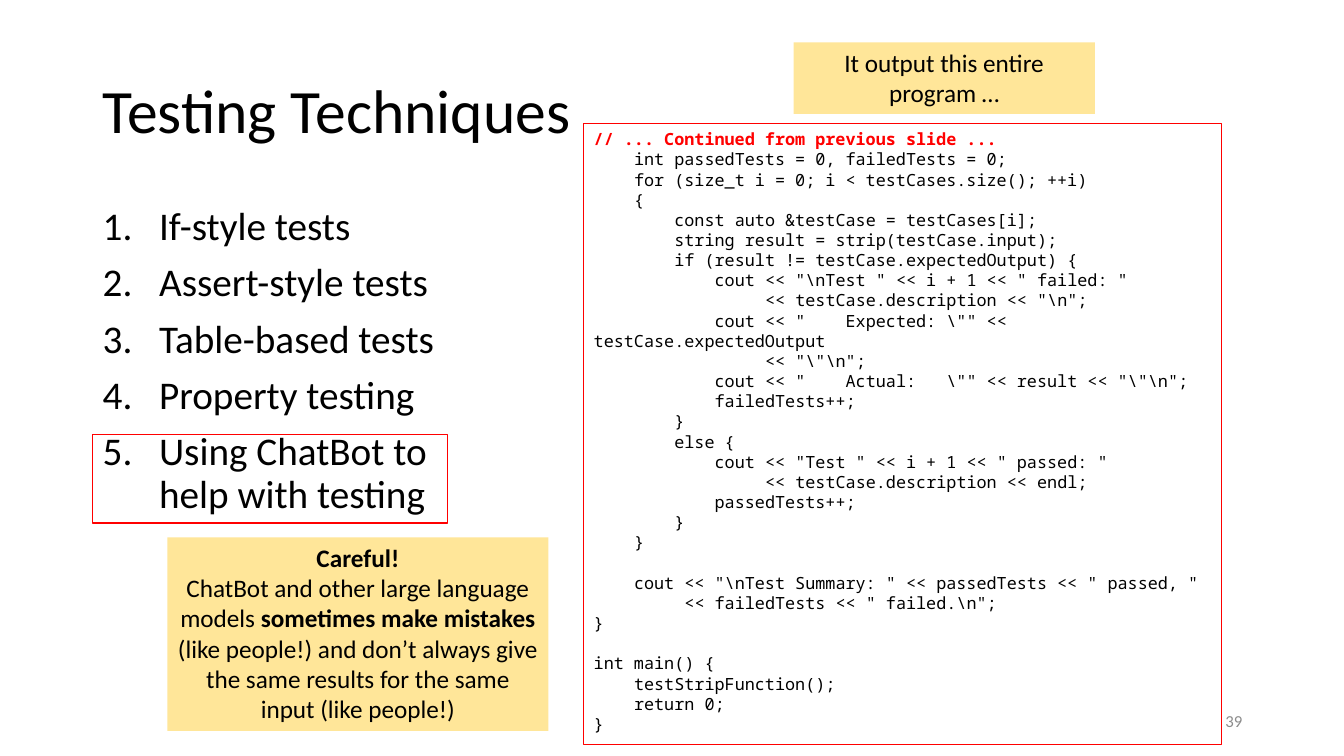
from lxml import etree
from pptx import Presentation
from pptx import util as u
from pptx.dml.color import RGBColor
from pptx.enum import shapes, text
from pptx.oxml.ns import qn

SANS, MONO = "Calibri", "Noto Sans Mono"
RED, SAND, BLACK, GRAY = "FF0000", "FFE699", "000000", "8C8C8C"
TOP, MID = text.MSO_ANCHOR.TOP, text.MSO_ANCHOR.MIDDLE
LEFT, RIGHT, CENTER = text.PP_ALIGN.LEFT, text.PP_ALIGN.RIGHT, text.PP_ALIGN.CENTER
STEP = 0.1
PITCH = 14.4

TESTS = ["If-style tests", "Assert-style tests", "Table-based tests",
         "Property testing", "Using ChatBot to \vhelp with testing"]

CHECK = r'''// ... Continued from previous slide ...
    int passedTests = 0, failedTests = 0;
    for (size_t i = 0; i < testCases.size(); ++i)
    {
        const auto &testCase = testCases[i];
        string result = strip(testCase.input);
        if (result != testCase.expectedOutput) {
            cout << "\nTest " << i + 1 << " failed: "
                 << testCase.description << "\n";
            cout << "    Expected: \"" << testCase.expectedOutput
                 << "\"\n";
            cout << "    Actual:   \"" << result << "\"\n";
            failedTests++;
        }'''

REPORT = r'''        else {
            cout << "Test " << i + 1 << " passed: "
                 << testCase.description << endl;
            passedTests++;
        }
    }

    cout << "\nTest Summary: " << passedTests << " passed, "
         << failedTests << " failed.\n";
}

int main() {
    testStripFunction();
    return 0;
}'''


def color(code):
    """Turn a hex string into a colour."""
    return RGBColor.from_string(code)


def apply(obj, form):
    """Set each attribute of a format dict on an object."""
    for key, val in form.items():
        setattr(obj, key, val)


class Deck:
    """Hold the style and the current slide."""

    def __init__(self):
        """Start a wide deck with one blank slide."""
        self.prs = Presentation()
        apply(self.prs, {"slide_width": u.Inches(13.33), "slide_height": u.Inches(7.5)})
        self.slide = self.prs.slides.add_slide(self.prs.slide_layouts[6])

    def label(self, at, anchor=TOP):
        """Add a wrapping text box and return its frame."""
        frame = self.slide.shapes.add_textbox(*map(u.Inches, at)).text_frame
        apply(frame, {"word_wrap": True, "vertical_anchor": anchor})
        return frame

    def rect(self, at, fill=None, line=None, width=1):
        """Add a rectangle and return its frame."""
        box = self.slide.shapes.add_shape(shapes.MSO_SHAPE.RECTANGLE, *map(u.Inches, at))
        box.shadow.inherit = False
        if fill:
            box.fill.solid()
            box.fill.fore_color.rgb = color(fill)
        else:
            box.fill.background()
        if line:
            box.line.color.rgb = color(line)
            box.line.width = u.Pt(width)
        else:
            box.line.fill.background()
        apply(box.text_frame, {"word_wrap": True, "vertical_anchor": TOP})
        return box.text_frame

    def para(self, frame, runs, size, font=SANS, hue=BLACK, **form):
        """Write one paragraph of (words, bold) runs."""
        first = frame.paragraphs[0]
        para = frame.add_paragraph() if first.runs else first
        apply(para, {"alignment": LEFT, **form})
        for words, bold in runs:
            for num, part in enumerate(words.split("\v")):
                if num:
                    para.add_line_break()
                run = para.add_run()
                run.text = part
                apply(run.font, {"size": u.Pt(size), "name": font, "bold": bold})
                run.font.color.rgb = color(hue)
        return para

    def indent(self, para, left, first):
        """Set the left margin and first-line indent."""
        props = para._p.get_or_add_pPr()
        props.set("marL", str(u.Inches(left)))
        props.set("indent", str(u.Inches(first)))
        return props

    def items(self, at, lines):
        """Add a numbered list."""
        frame = self.label(at)
        for line in lines:
            para = self.para(frame, [(line, False)], 28,
                             line_spacing=0.9, space_before=u.Pt(10))
            props = self.indent(para, 0.56, -0.56)
            etree.SubElement(props, qn("a:buFont"), typeface="+mj-lt")
            etree.SubElement(props, qn("a:buAutoNum"), type="arabicPeriod")

    def code(self, at, lines):
        """Add a framed listing with a red first line."""
        frame = self.rect(at, line=RED, width=0.75)
        gap = 0
        for num, line in enumerate(lines):
            if not line:
                gap = PITCH
                continue
            bare = line.lstrip()
            para = self.para(frame, [(bare, num == 0)], 12, MONO,
                             BLACK if num else RED,
                             line_spacing=u.Pt(PITCH), space_before=u.Pt(gap))
            self.indent(para, 0, STEP * (len(line) - len(bare)))
            gap = 0

    def note(self, at, *paras):
        """Add a sand-coloured note with centred text."""
        frame = self.rect(at, fill=SAND)
        for runs in paras:
            self.para(frame, runs, 18, alignment=CENTER)


def main():
    """Build and save the slide."""
    deck = Deck()
    deck.para(deck.label((0.92, 0.4, 4.88, 1.45), MID),
              [("Testing Techniques", False)], 44, line_spacing=0.9)
    deck.items((0.92, 2, 3.71, 3.19), TESTS)
    deck.para(deck.label((9.42, 6.95, 3, 0.4), MID),
              [("39", False)], 12, hue=GRAY, alignment=RIGHT)
    deck.rect((0.92, 4.31, 3.52, 0.88), line=RED)
    deck.code((5.79, 1.23, 6.33, 6.16), CHECK.split("\n") + REPORT.split("\n"))
    deck.note((7.87, 0.42, 2.99, 0.71), [("It output this entire program …", False)])
    deck.note((1.66, 5.33, 3.78, 1.92),
              [("Careful!", True)],
              [("ChatBot and other large language models ", False),
               ("sometimes make mistakes", True),
               (" (like people!) and don’t always give the same results"
                " for the same input (like people!)", False)])
    deck.prs.save("out.pptx")


if __name__ == "__main__":
    main()
